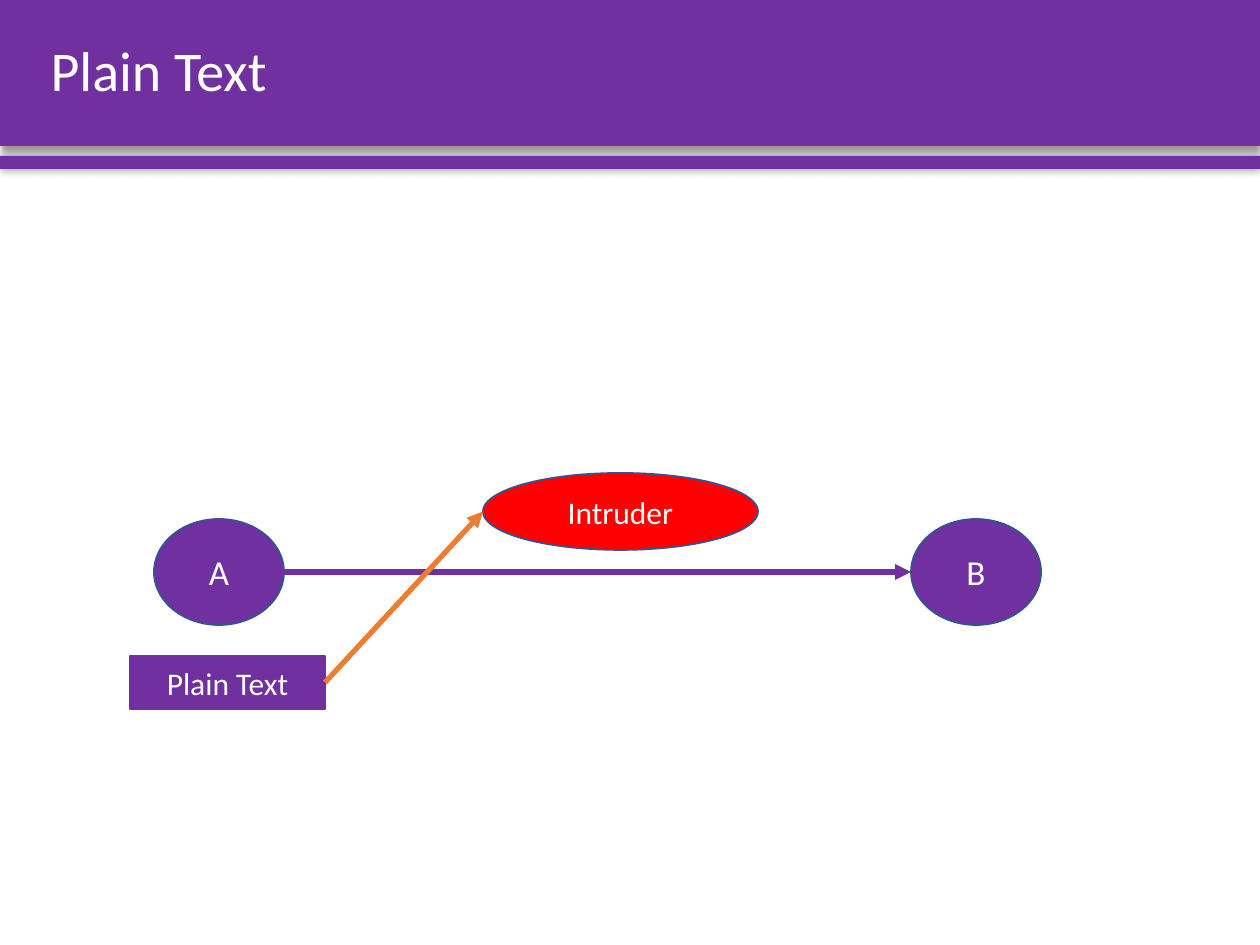
import pptx
import pptx.dml.color
import pptx.enum.shapes
import pptx.enum.text
import pptx.oxml
import pptx.oxml.ns
import pptx.util

EMU_PER_PX = 914400 / 126
FONT = "Calibri"
COLORS = {
    "purple": "7030A0",
    "red": "FF0000",
    "orange": "ED7D31",
    "outline": "325491",
    "white": "FFFFFF",
    "shadow": "000000",
}
SHAPES = pptx.enum.shapes.MSO_SHAPE
ALIGN = pptx.enum.text.PP_ALIGN
MIDDLE = pptx.enum.text.MSO_ANCHOR.MIDDLE


def px(length):
    return pptx.util.Emu(round(length * EMU_PER_PX))


def color(name):
    return pptx.dml.color.RGBColor.from_string(COLORS[name])


def drawing_element(xml):
    return pptx.oxml.parse_xml(xml.replace(" ", f" {pptx.oxml.ns.nsdecls('a')} ", 1))


def write_text(frame, text, size, alignment):
    frame.word_wrap = True
    frame.vertical_anchor = MIDDLE
    para = frame.paragraphs[0]
    para.alignment = alignment
    span = para.add_run()
    span.text = text
    span.font.name = FONT
    span.font.size = pptx.util.Pt(size)
    span.font.color.rgb = color("white")
    return para


def add_filled_shape(page, kind, left, top, width, height, fill, outline=None):
    shape = page.shapes.add_shape(kind, px(left), px(top), px(width), px(height))
    shape.shadow.inherit = False
    shape.fill.solid()
    shape.fill.fore_color.rgb = color(fill)
    if outline:
        shape.line.color.rgb = color(outline)
        shape.line.width = pptx.util.Pt(1)
    else:
        shape.line.fill.background()
    return shape


def add_header_bar(page, top, height, blur, distance, degrees):
    """Full-width bar; shadow blur and distance are in points."""
    bar = add_filled_shape(page, SHAPES.RECTANGLE, 0, top, 1260, height, "purple")
    effects = bar._element.spPr.find(pptx.oxml.ns.qn("a:effectLst"))
    effects.append(drawing_element(
        f'<a:outerShdw blurRad="{pptx.util.Pt(blur)}" dist="{pptx.util.Pt(distance)}"'
        f' dir="{degrees * 60000}" rotWithShape="0"><a:srgbClr val="{COLORS["shadow"]}">'
        '<a:alpha val="40000"/></a:srgbClr></a:outerShdw>'))


def place_title(page, text):
    title = page.shapes.title
    title.left, title.top, title.width, title.height = px(38), px(0), px(1192), px(146)
    para = write_text(title.text_frame, text, 32, ALIGN.LEFT)
    para.line_spacing = 0.9
    page.shapes._spTree.append(title._element)  # in front of the header bars


def add_label(page, kind, bounds, text, size, fill, outline):
    shape = add_filled_shape(page, kind, *bounds, fill, outline)
    write_text(shape.text_frame, text, size, ALIGN.CENTER)
    return shape


def add_arrow(page, start, end, line_color):
    arrow = page.shapes.add_connector(
        pptx.enum.shapes.MSO_CONNECTOR.STRAIGHT, *start, *end)
    arrow.line.color.rgb = color(line_color)
    arrow.line.width = pptx.util.Pt(3)
    arrow.line._get_or_add_ln().append(drawing_element('<a:tailEnd type="triangle"/>'))
    arrow._element.spPr.append(drawing_element("<a:effectLst />"))
    return arrow


def left_middle(shape):
    return shape.left, shape.top + shape.height // 2


def right_middle(shape):
    return shape.left + shape.width, shape.top + shape.height // 2


def main():
    deck = pptx.Presentation()
    deck.slide_width, deck.slide_height = px(1260), px(945)
    page = deck.slides.add_slide(deck.slide_layouts[5])

    add_header_bar(page, 0, 146, blur=4, distance=3, degrees=90)
    add_header_bar(page, 156, 13, blur=5, distance=0, degrees=0)
    place_title(page, "Plain Text")

    sender, receiver = [
        add_label(page, SHAPES.OVAL, (left, 519, 130, 106), name, 20, "purple", "outline")
        for name, left in (("A", 154), ("B", 911))
    ]
    add_arrow(page, right_middle(sender), left_middle(receiver), "purple")

    message = add_label(page, SHAPES.RECTANGLE, (130, 656, 195, 53),
                        "Plain Text", 18, "purple", "purple")
    intruder = add_label(page, SHAPES.OVAL, (483, 473, 275, 77),
                         "Intruder", 18, "red", "outline")
    leak = add_arrow(page, right_middle(message), left_middle(intruder), "orange")
    leak.begin_connect(message, 3)

    deck.save("out.pptx")


if __name__ == "__main__":
    main()
